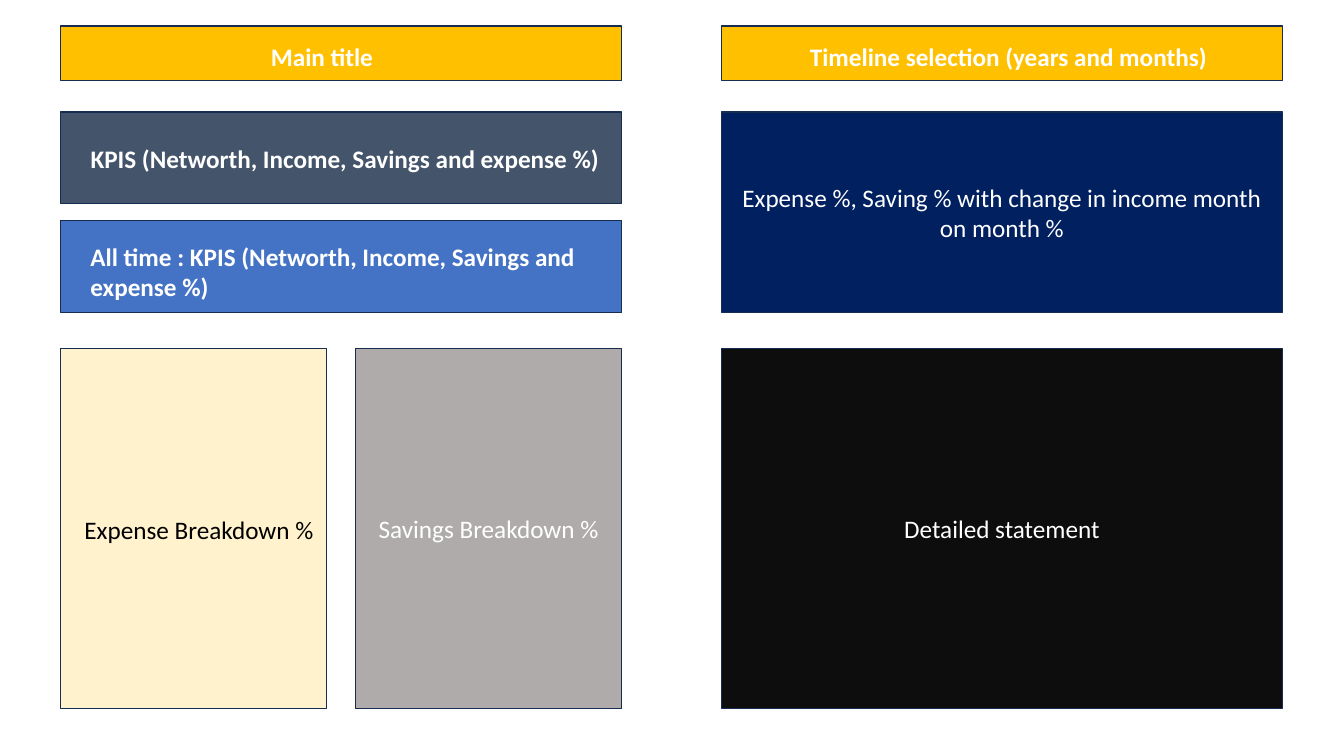
from pptx import Presentation
from pptx import util as u
from pptx.dml.color import RGBColor
from pptx.enum import shapes, text

THEME = {
    "font": "Calibri", "size": 18, "border_width": 1,
    "border": "172C51", "white": "FFFFFF", "black": "000000",
    "gold": "FFC000", "slate": "44546A", "blue": "4472C4", "cream": "FFF2CC",
    "grey": "AFABAB", "navy": "002060", "ink": "0D0D0D",
}

# Columns: left, width
LEFT, RIGHT = (0.6, 5.57), (7.16, 5.57)
GAP = 0.29
HALF = (LEFT[1] - GAP) / 2
LEFT_A, LEFT_B = (LEFT[0], HALF), (LEFT[0] + HALF + GAP, HALF)

# Rows: top, height
HEADER, KPIS, ALL_TIME, DETAIL = (0.26, 0.54), (1.11, 0.91), (2.19, 0.91), (3.46, 3.57)
TREND = (KPIS[0], ALL_TIME[0] + ALL_TIME[1] - KPIS[0])

# Column, row, fill, centred text
PANELS = [
    (LEFT, HEADER, "gold", None),
    (RIGHT, HEADER, "gold", None),
    (LEFT, KPIS, "slate", None),
    (LEFT, ALL_TIME, "blue", None),
    (LEFT_A, DETAIL, "cream", None),
    (LEFT_B, DETAIL, "grey", "Savings Breakdown %"),
    (RIGHT, TREND, "navy", "Expense %, Saving % with change in income month on month %"),
    (RIGHT, DETAIL, "ink", "Detailed statement"),
]

# Left, top, width, height, text, colour, bold, centred
LABELS = [
    (2.27, 0.36, 1.85, 0.4, "Main title", "white", True, True),
    (7.94, 0.36, 4.57, 0.4, "Timeline selection (years and months)", "white", True, False),
    (0.8, 1.37, 5.45, 0.4, "KPIS (Networth, Income, Savings and expense %)", "white", True, False),
    (0.8, 2.34, 5.36, 0.7, "All time : KPIS (Networth, Income, Savings and expense %)",
     "white", True, False),
    (0.74, 5.05, 2.64, 0.4, "Expense Breakdown %", "black", False, False),
]


def color(name):
    return RGBColor.from_string(THEME[name])


def write(sp, words, ink, bold, centred):
    tf = sp.text_frame
    tf.word_wrap = True
    p = tf.paragraphs[0]
    p.text = words
    p.alignment = text.PP_ALIGN.CENTER if centred else text.PP_ALIGN.LEFT
    p.font.name = THEME["font"]
    p.font.size = u.Pt(THEME["size"])
    p.font.bold = bold
    p.font.color.rgb = color(ink)


def add_panel(slide, column, row, fill, words):
    (left, width), (top, height) = column, row
    sp = slide.shapes.add_shape(shapes.MSO_SHAPE.RECTANGLE,
                                *map(u.Inches, (left, top, width, height)))
    sp.shadow.inherit = False
    sp.fill.solid()
    sp.fill.fore_color.rgb = color(fill)
    sp.line.color.rgb = color("border")
    sp.line.width = u.Pt(THEME["border_width"])
    if words:
        write(sp, words, "white", False, True)
        sp.text_frame.vertical_anchor = text.MSO_ANCHOR.MIDDLE


def main():
    prs = Presentation()
    prs.slide_width, prs.slide_height = u.Inches(13.34), u.Inches(7.5)
    slide = prs.slides.add_slide(prs.slide_layouts[6])
    for panel in PANELS:
        add_panel(slide, *panel)
    for *box, words, ink, bold, centred in LABELS:
        write(slide.shapes.add_textbox(*map(u.Inches, box)), words, ink, bold, centred)
    prs.save("out.pptx")


if __name__ == "__main__":
    main()
